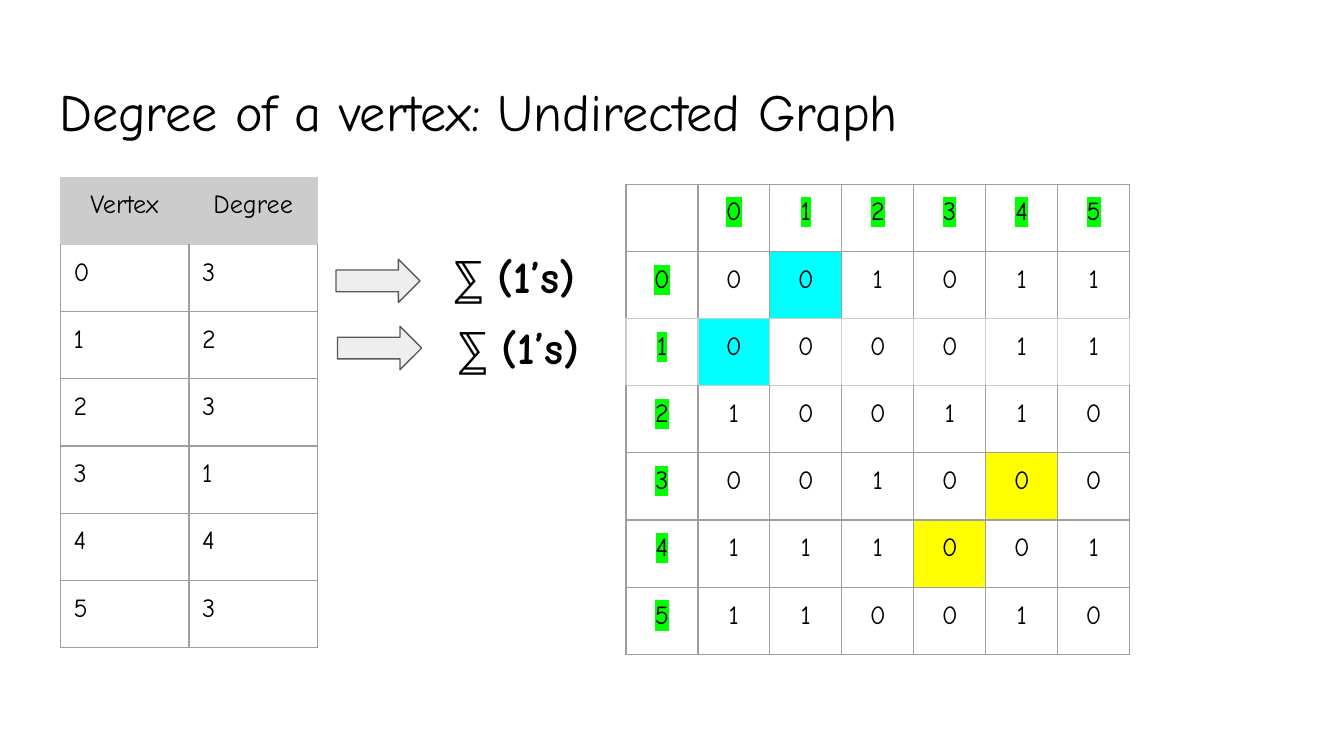
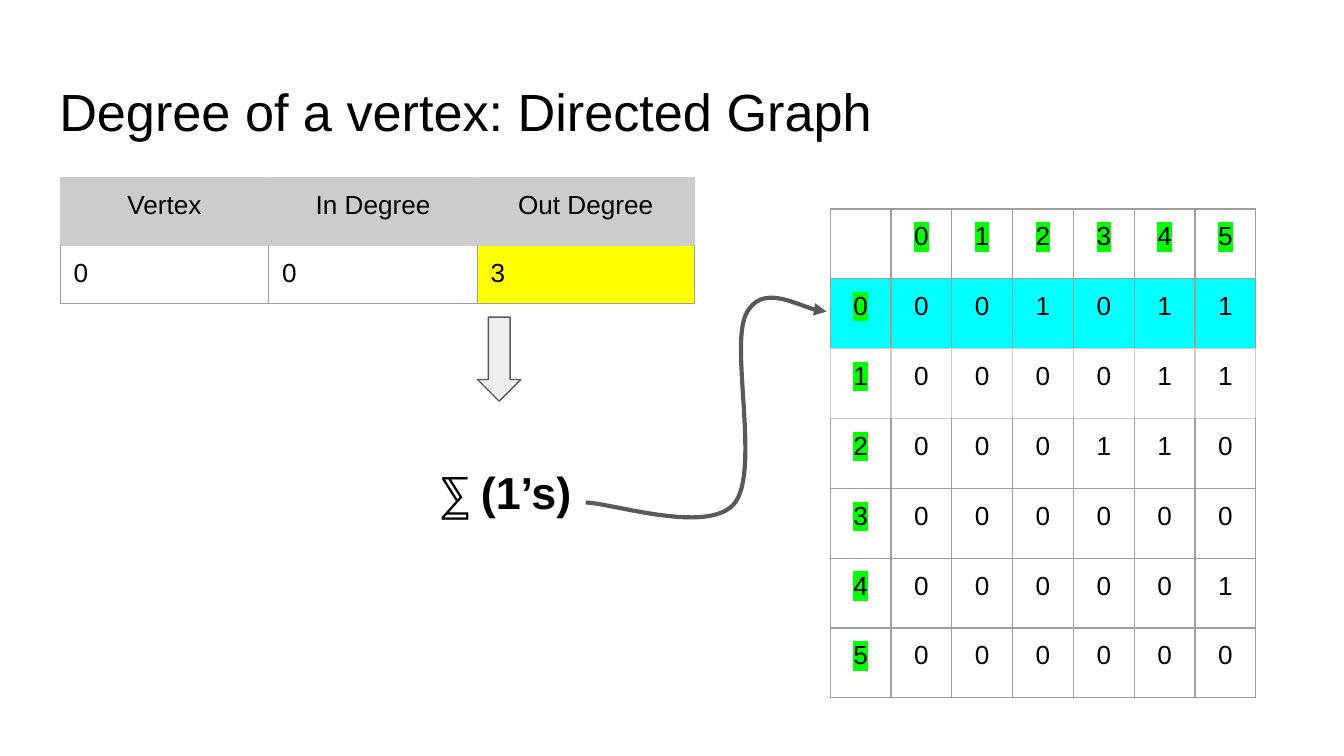
from lxml import etree
from pptx import Presentation
from pptx import util as u
from pptx.dml.color import RGBColor
from pptx.enum import shapes, text
from pptx.oxml.ns import qn

BLACK, GREY, LIGHT, DARK = "000000", "9E9E9E", "CCCCCC", "595959"
ARROW_GREY, GREEN, CYAN, YELLOW = "EEEEEE", "00FF00", "00FFFF", "FFFF00"
PADDING = u.Cm(0.25)
UNDIRECTED = ["001011", "000011", "100110", "001000", "111001", "110010"]
DIRECTED = ["001011", "000011", "000110", "000000", "000001", "000000"]


def rgb(colour):
    return RGBColor.from_string(colour)


def add_solid(parent, colour):
    solid = etree.SubElement(parent, qn("a:solidFill"))
    etree.SubElement(solid, qn("a:srgbClr"), val=colour)


def style_runs(paragraph, font, size, bold=False, highlight=None):
    for run in paragraph.runs:
        run.font.name = font
        run.font.size = u.Pt(size)
        run.font.bold = bold
        run.font.color.rgb = rgb(BLACK)
        if highlight:
            mark = etree.Element(qn("a:highlight"))
            etree.SubElement(mark, qn("a:srgbClr"), val=highlight)
            run.font._element.find(qn("a:solidFill")).addnext(mark)


def pad(box, vertical=PADDING):
    box.margin_left = box.margin_right = PADDING
    box.margin_top = box.margin_bottom = vertical


def add_title_slide(deck, title, font):
    slide = deck.slides.add_slide(deck.slide_layouts[5])
    heading = slide.shapes.title
    heading.left, heading.top = u.Cm(0.87), u.Cm(1.24)
    heading.width, heading.height = u.Cm(23.67), u.Cm(1.6)
    frame = heading.text_frame
    frame.text = title
    frame.word_wrap = True
    frame.auto_size = text.MSO_AUTO_SIZE.NONE
    frame.vertical_anchor = text.MSO_ANCHOR.TOP
    pad(frame)
    frame.paragraphs[0].alignment = text.PP_ALIGN.LEFT
    style_runs(frame.paragraphs[0], font, 28)
    return slide


def set_borders(cell, colours):
    """Draw the left, right, top and bottom edges in the given colours."""
    properties = cell._tc.get_or_add_tcPr()
    for side, colour in zip("LRTB", colours):
        edge = etree.SubElement(properties, qn(f"a:ln{side}"), w=str(u.Pt(0.75)))
        add_solid(edge, colour)


def add_grid(slide, left, top, widths, heights, rows, font, light_row,
             fills, centred, marked=False):
    """Add a table; light_row has pale edges, marked highlights its headings."""
    grid = slide.shapes.add_table(
        len(heights), len(widths), u.Cm(left), u.Cm(top),
        u.Cm(sum(widths)), u.Cm(sum(heights))).table
    grid.first_row = grid.horz_banding = False
    for column, width in zip(grid.columns, widths):
        column.width = u.Cm(width)
    for row, height in zip(grid.rows, heights):
        row.height = u.Cm(height)
    for r, values in enumerate(rows):
        side, above, below = (LIGHT if light_row in near else GREY
                              for near in ([r], [r - 1, r], [r, r + 1]))
        for c, value in enumerate(values):
            cell = grid.cell(r, c)
            cell.text = value
            pad(cell, PADDING if value else 0)
            set_borders(cell, (side, side, above, below))
            if (r, c) in fills:
                cell.fill.solid()
                cell.fill.fore_color.rgb = rgb(fills[r, c])
            else:
                cell.fill.background()
            paragraph = cell.text_frame.paragraphs[0]
            if centred(r):
                paragraph.alignment = text.PP_ALIGN.CENTER
            heading = marked and 0 in (r, c)
            style_runs(paragraph, font, 14, highlight=GREEN if heading else None)


def add_degree_table(slide, widths, heights, rows, font, fills):
    header = {(0, c): LIGHT for c in range(len(widths))}
    add_grid(slide, 1.14, 3.35, widths, heights, rows, font, 0,
             header | fills, centred=lambda r: r == 0)


def add_adjacency_matrix(slide, left, top, width, height, edges, font, fills):
    count = len(edges) + 1
    vertices = [str(v) for v in range(len(edges))]
    rows = [["", *vertices]] + [[v, *line] for v, line in zip(vertices, edges)]
    add_grid(slide, left, top, [width] * count, [height] * count, rows, font, 2,
             fills, centred=lambda r: True, marked=True)


def add_block_arrow(slide, left, top, rotation=0):
    arrow = slide.shapes.add_shape(
        shapes.MSO_SHAPE.RIGHT_ARROW, u.Cm(left), u.Cm(top), u.Cm(1.59), u.Cm(0.82))
    arrow.rotation = rotation
    arrow.shadow.inherit = False
    arrow.fill.solid()
    arrow.fill.fore_color.rgb = rgb(ARROW_GREY)
    arrow.line.color.rgb = rgb(DARK)
    arrow.line.width = u.Pt(0.75)


def add_sum_label(slide, left, top, width, font):
    frame = slide.shapes.add_textbox(
        u.Cm(left), u.Cm(top), u.Cm(width), u.Cm(1.27)).text_frame
    frame.text = "⅀ (1’s)"
    frame.word_wrap = True
    pad(frame)
    style_runs(frame.paragraphs[0], font, 24, bold=True)


def add_curved_arrow(slide, start, curves):
    """Draw cubic curves, each given as two control points and an end."""
    start, *points = [(u.Cm(x), u.Cm(y))
                      for x, y in [start, *(p for curve in curves for p in curve)]]
    builder = slide.shapes.build_freeform(*start)
    builder.add_line_segments(points[2::3], close=False)
    arrow = builder.convert_to_shape()
    for i, segment in enumerate(list(arrow._element.iter(qn("a:lnTo")))):
        bend = etree.Element(qn("a:cubicBezTo"))
        for x, y in points[3 * i:3 * i + 3]:
            etree.SubElement(bend, qn("a:pt"), x=str(x - arrow.left), y=str(y - arrow.top))
        segment.getparent().replace(segment, bend)
    arrow.shadow.inherit = False
    arrow.fill.background()
    arrow.line.color.rgb = rgb(DARK)
    arrow.line.width = u.Pt(2.25)
    line = arrow._element.spPr.find(qn("a:ln"))
    etree.SubElement(line, qn("a:tailEnd"), type="triangle")


def build_undirected(deck):
    font = "Comic Neue"
    slide = add_title_slide(deck, "Degree of a vertex: Undirected Graph", font)
    degrees = [(str(v), degree) for v, degree in enumerate("323143")]
    add_degree_table(slide, [2.43] * 2, [1.27] * 7,
                     [("Vertex", "Degree"), *degrees], font, {})
    add_adjacency_matrix(slide, 11.83, 3.48, 1.36, 1.27, UNDIRECTED, font,
                         {(1, 2): CYAN, (2, 1): CYAN, (4, 5): YELLOW, (5, 4): YELLOW})
    add_block_arrow(slide, 6.35, 4.9)
    add_sum_label(slide, 8.33, 4.45, 3.71, font)
    add_block_arrow(slide, 6.38, 6.17)
    add_sum_label(slide, 8.41, 5.79, 3.35, font)


def build_directed(deck):
    font = "Arial"
    slide = add_title_slide(deck, "Degree of a vertex: Directed Graph", font)
    add_degree_table(slide, [3.94, 3.94, 4.1], [1.29, 1.1],
                     [("Vertex", "In Degree", "Out Degree"), ("0", "0", "3")],
                     font, {(1, 2): YELLOW})
    add_adjacency_matrix(slide, 15.69, 3.95, 1.15, 1.32, DIRECTED, font,
                         {(1, c): CYAN for c in range(7)})
    add_block_arrow(slide, 8.64, 6.38, rotation=90)
    add_sum_label(slide, 8.08, 8.53, 3.07, font)
    add_curved_arrow(slide, (11.07, 9.5), [
        [(11.53, 9.5), (13.36, 10.11), (13.87, 9.53)],
        [(14.38, 8.94), (13.79, 6.55), (14.1, 5.94)],
        [(14.38, 5.36), (15.37, 5.92), (15.62, 5.89)]])


def main():
    deck = Presentation()
    deck.slide_width, deck.slide_height = u.Cm(25.4), u.Cm(14.29)
    build_undirected(deck)
    build_directed(deck)
    deck.save("out.pptx")


if __name__ == "__main__":
    main()
